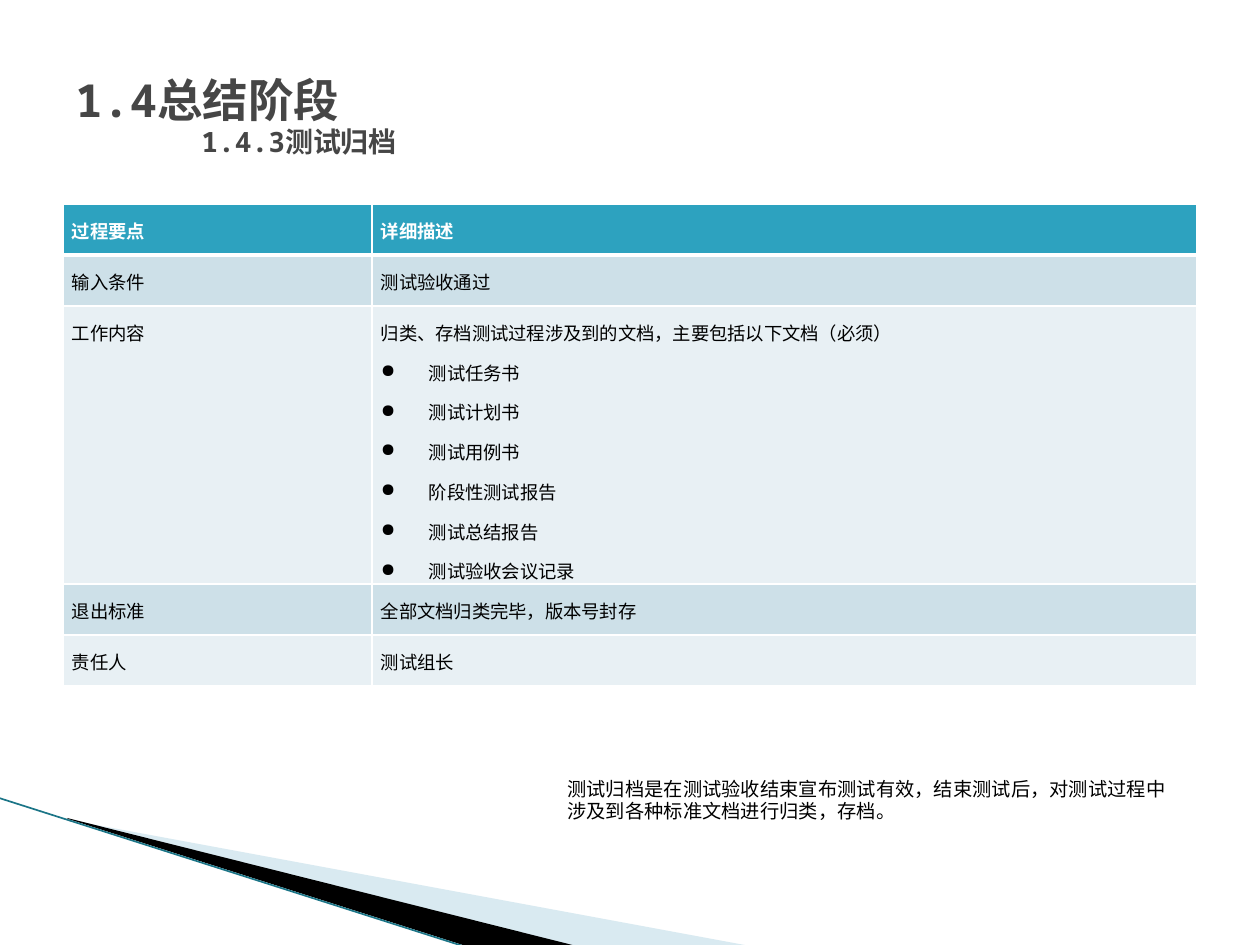
from lxml import etree
from pptx import Presentation
from pptx.dml.color import RGBColor
from pptx.enum.shapes import MSO_CONNECTOR
from pptx.enum.text import PP_ALIGN
from pptx.oxml.ns import qn
from pptx.util import Pt

SCALE = 914400 / 126
COLORS = {
    "title": "464646", "black": "000000", "white": "FFFFFF",
    "header": "2DA2BF", "band": "CDE0E8", "pale": "E8F0F4",
    "sweep": "A0CBDC", "edge": "1B7587",
}
CJK, MONO = "Noto Sans CJK SC", "Noto Sans Mono"


def px(length):
    return round(length * SCALE)


def write(para, text, size, color="black", bold=False, font=CJK, spacing=None,
          align=PP_ALIGN.LEFT, left=0, hanging=0, bullet=None):
    para.alignment = align
    para.line_spacing = spacing
    properties = para._p.get_or_add_pPr()
    properties.set("marL", str(px(left)))
    properties.set("indent", str(-px(hanging)))
    if bullet:
        etree.SubElement(properties, qn("a:buChar")).set("char", bullet)
    span = para.add_run()
    span.text = text
    span.font.size = Pt(size)
    span.font.bold = bold
    span.font.name = font
    span.font.color.rgb = RGBColor.from_string(COLORS[color])
    etree.SubElement(span._r.get_or_add_rPr(), qn("a:ea")).set("typeface", CJK)


deck = Presentation()
deck.slide_width, deck.slide_height = px(1260), px(945)
page = deck.slides.add_slide(deck.slide_layouts[6])

# Corner sweeps
sweeps = [
    ("sweep", 40, [(69, 820), (750, 946), (575, 946), (69, 819)]),
    ("black", 100, [(67, 818), (576, 946), (469, 947), (68, 819)]),
]
for color, opacity, points in sweeps:
    builder = page.shapes.build_freeform(*points[0], scale=SCALE)
    builder.add_line_segments(points[1:], close=True)
    sweep = builder.convert_to_shape()
    sweep.shadow.inherit = False
    sweep.line.fill.background()
    sweep.fill.solid()
    sweep.fill.fore_color.rgb = RGBColor.from_string(COLORS[color])
    if opacity < 100:
        shade = sweep._element.spPr.find(qn("a:solidFill"))[0]
        etree.SubElement(shade, qn("a:alpha")).set("val", str(opacity * 1000))

edge = page.shapes.add_connector(MSO_CONNECTOR.STRAIGHT, px(-1), px(798), px(469), px(948))
edge.line.color.rgb = RGBColor.from_string(COLORS["edge"])
edge.line.width = Pt(0.95)
etree.SubElement(edge._element.spPr, qn("a:effectLst"))

# Process table: each cell is a list of lines, all after the first are bulleted
rows = [
    (["过程要点"], ["详细描述"]),
    (["输入条件"], ["测试验收通过"]),
    (["工作内容"], ["归类、存档测试过程涉及到的文档，主要包括以下文档（必须）",
                "测试任务书", "测试计划书", "测试用例书", "阶段性测试报告",
                "测试总结报告", "测试验收会议记录"]),
    (["退出标准"], ["全部文档归类完毕，版本号封存"]),
    (["责任人"], ["测试组长"]),
]
heights = [51, 51, 278, 51, 51]
table = page.shapes.add_table(len(rows), 2, px(63), px(204), px(1134), px(sum(heights))).table
table.columns[0].width, table.columns[1].width = px(309), px(825)

for row_index, row in enumerate(rows):
    table.rows[row_index].height = px(heights[row_index])
    is_header = row_index == 0
    fill = "header" if is_header else ("pale", "band")[row_index % 2]
    for column_index, lines in enumerate(row):
        cell = table.cell(row_index, column_index)
        cell.margin_left = cell.margin_right = px(9)
        cell.margin_top = cell.margin_bottom = 0
        for line_index, line in enumerate(lines):
            frame = cell.text_frame
            para = frame.add_paragraph() if line_index else frame.paragraphs[0]
            indent = 48 if line_index else 0
            write(para, line, 10.5, color="white" if is_header else "black",
                  bold=is_header, spacing=1.5, align=PP_ALIGN.JUSTIFY,
                  left=indent, hanging=indent, bullet="●" if line_index else None)

        # White borders, thicker between the header and the body
        cell_properties = cell._tc.get_or_add_tcPr()
        for side in ("L", "R", "T", "B"):
            thick = (row_index, side) in ((0, "B"), (1, "T"))
            border = etree.SubElement(cell_properties, qn(f"a:ln{side}"))
            border.set("w", str(Pt(3 if thick else 1)))
            paint = etree.SubElement(border, qn("a:solidFill"))
            etree.SubElement(paint, qn("a:srgbClr")).set("val", COLORS["white"])
        cell.fill.solid()
        cell.fill.fore_color.rgb = RGBColor.from_string(COLORS[fill])

# Title and subtitle
title_box = page.shapes.add_textbox(px(63), px(38), px(1134), px(157))
title_frame = title_box.text_frame
title_frame.word_wrap = True
title_frame.margin_top = px(43)
write(title_frame.paragraphs[0], "1.4总结阶段", 26, color="title", bold=True,
      font=MONO, spacing=Pt(26))
write(title_frame.add_paragraph(), "1.4.3测试归档", 16, color="title", bold=True,
      font=MONO, spacing=Pt(18), left=126)

# Closing note
note_box = page.shapes.add_textbox(px(555), px(771), px(630), px(59))
note_box.text_frame.word_wrap = True
write(note_box.text_frame.paragraphs[0],
      "测试归档是在测试验收结束宣布测试有效，结束测试后，对测试过程中涉及到各种标准文档进行归类，存档。",
      11, font=MONO, spacing=Pt(13))

deck.save("out.pptx")
